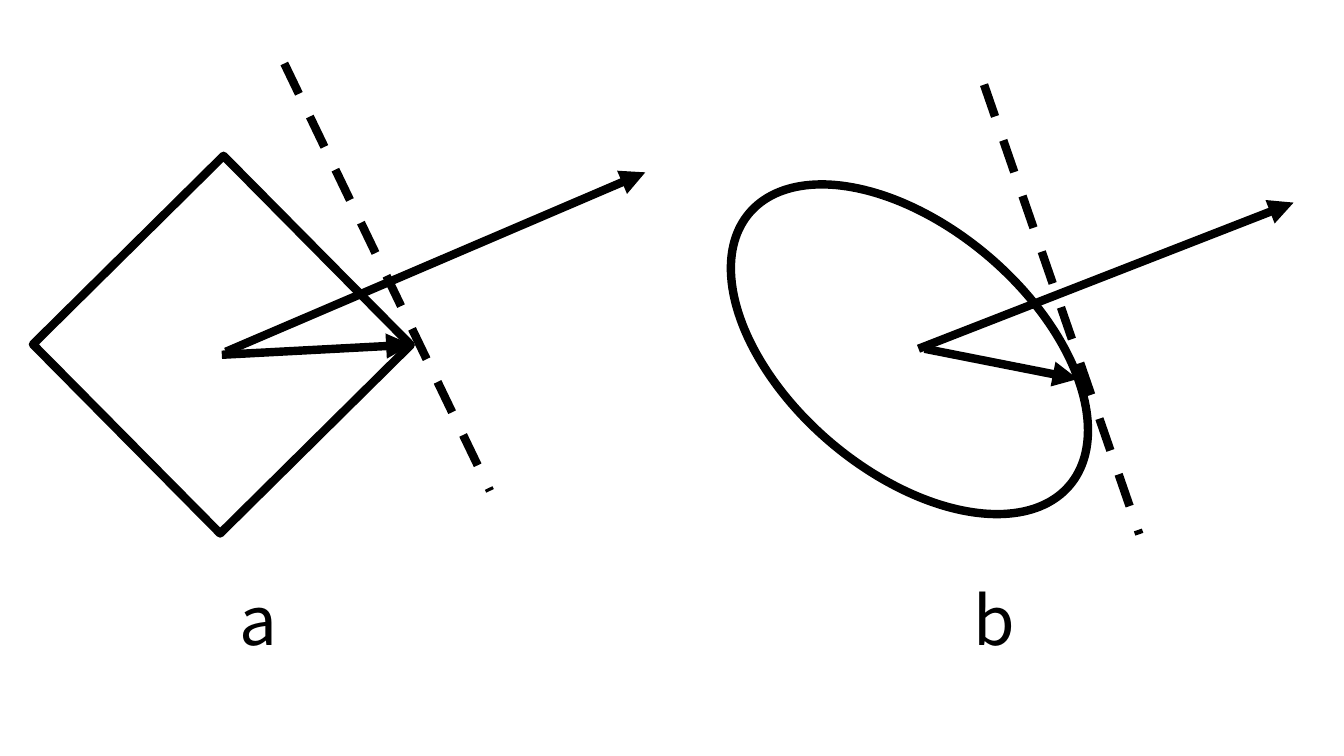
from typing import NamedTuple

from lxml import etree
from pptx import Presentation
from pptx.dml.color import RGBColor
from pptx.enum.dml import MSO_LINE
from pptx.enum.shapes import MSO_CONNECTOR, MSO_SHAPE
from pptx.enum.text import MSO_AUTO_SIZE
from pptx.oxml.ns import qn
from pptx.util import Inches, Pt

STRAIGHT = MSO_CONNECTOR.STRAIGHT
DASH = MSO_LINE.DASH
RECTANGLE = MSO_SHAPE.RECTANGLE
OVAL = MSO_SHAPE.OVAL
FIT_SHAPE = MSO_AUTO_SIZE.SHAPE_TO_FIT_TEXT

FONT = "Noto Sans CJK SC"
BLACK, WHITE = "000000", "FFFFFF"
STROKE = 6


class Segment(NamedTuple):
    x1: float
    y1: float
    x2: float
    y2: float


class Body(NamedTuple):
    kind: MSO_SHAPE
    left: float
    top: float
    width: float
    height: float
    rotation: float


class Panel(NamedTuple):
    label: str
    label_left: float
    body: Body
    tangent: Segment
    arrows: tuple[Segment, ...]


PANELS = (
    Panel("a", 2.28, Body(RECTANGLE, 0.88, 2.09, 2.64, 2.66, 45.3),
          Segment(2.82, 0.63, 4.86, 4.87),
          (Segment(2.2, 3.52, 4.08, 3.42), Segment(2.24, 3.49, 6.4, 1.71))),
    Panel("b", 9.56, Body(OVAL, 7.81, 1.38, 2.42, 4.17, 310.4),
          Segment(9.76, 0.84, 11.3, 5.3),
          (Segment(9.11, 3.46, 12.83, 2.01), Segment(9.17, 3.46, 10.69, 3.76))),
)


def rgb(value: str) -> RGBColor:
    return RGBColor.from_string(value)


def style_line(line) -> None:
    line.color.rgb = rgb(BLACK)
    line.width = Pt(STROKE)


def add_body(s, body: Body) -> None:
    sp = s.shapes.add_shape(body.kind, Inches(body.left), Inches(body.top),
                            Inches(body.width), Inches(body.height))
    sp.rotation = body.rotation
    sp.shadow.inherit = False
    sp.fill.solid()
    sp.fill.fore_color.rgb = rgb(WHITE)
    style_line(sp.line)


def add_segment(s, seg: Segment, *, dashed: bool = False, arrow: bool = False) -> None:
    cxn = s.shapes.add_connector(STRAIGHT, Inches(seg.x1), Inches(seg.y1),
                                 Inches(seg.x2), Inches(seg.y2))
    style_line(cxn.line)
    if dashed:
        cxn.line.dash_style = DASH
    if arrow:
        etree.SubElement(cxn.line._get_or_add_ln(), qn("a:tailEnd"), type="triangle")
    etree.SubElement(cxn._element.spPr, qn("a:effectLst"))


def add_text(s, text: str, *, left: float, top: float, width: float, height: float,
             size: float) -> None:
    box = s.shapes.add_textbox(Inches(left), Inches(top), Inches(width), Inches(height))
    tf = box.text_frame
    tf.word_wrap = True
    tf.auto_size = FIT_SHAPE
    r = tf.paragraphs[0].add_run()
    r.text = text
    r.font.name = FONT
    r.font.size = Pt(size)
    r.font.color.rgb = rgb(BLACK)


def add_panel(s, panel: Panel) -> None:
    add_body(s, panel.body)
    add_segment(s, panel.tangent, dashed=True)
    for arrow in panel.arrows:
        add_segment(s, arrow, arrow=True)
    add_text(s, panel.label, left=panel.label_left, top=5.69, width=1.08,
             height=0.91, size=48)


def main() -> None:
    """Draw two convex bodies with their tangents and direction vectors."""
    prs = Presentation()
    prs.slide_width, prs.slide_height = Inches(13.33), Inches(7.5)
    s = prs.slides.add_slide(prs.slide_layouts[6])
    s.background.fill.solid()
    s.background.fill.fore_color.rgb = rgb(WHITE)
    for panel in PANELS:
        add_panel(s, panel)
    prs.save("out.pptx")


if __name__ == "__main__":
    main()
